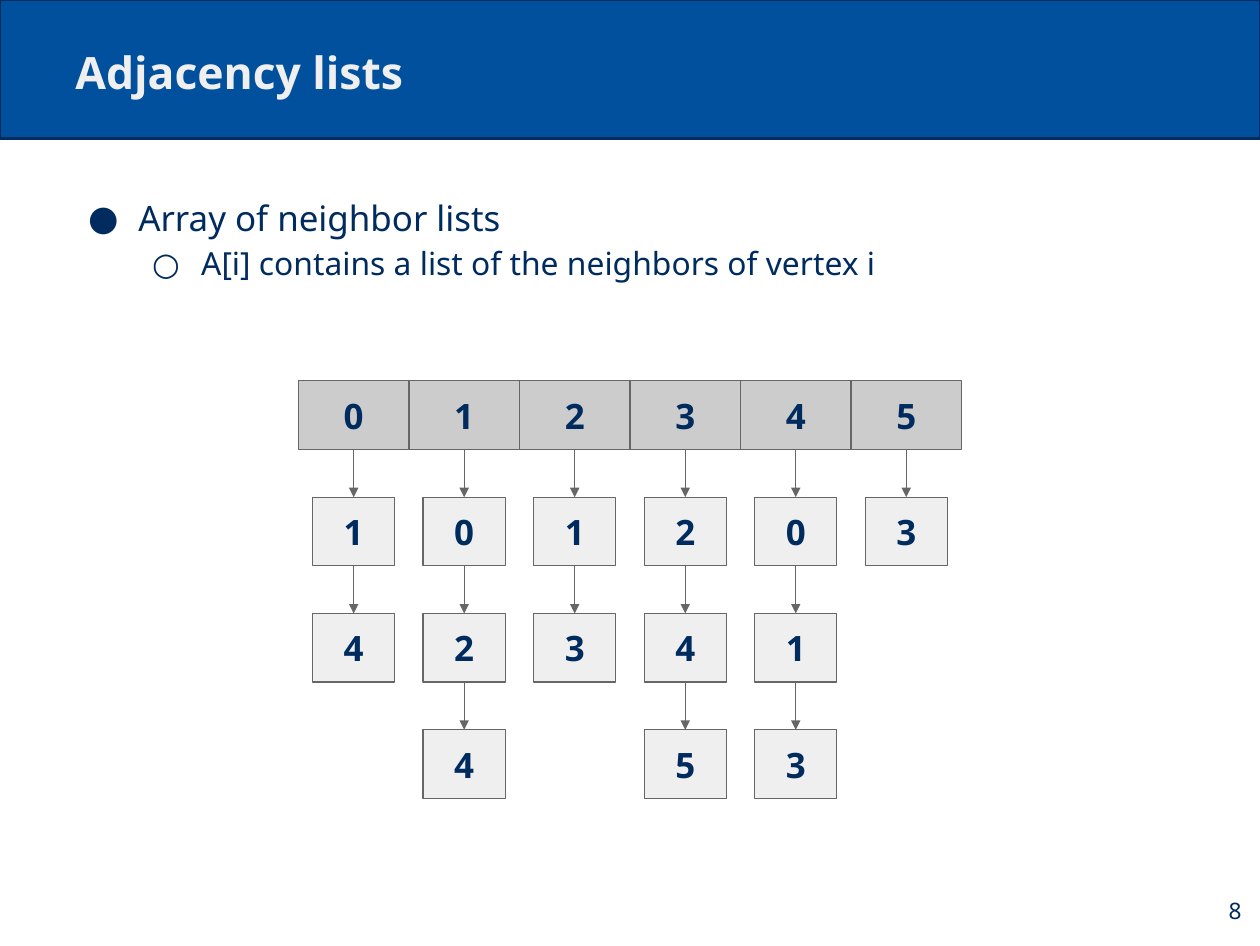
from dataclasses import dataclass

from lxml import etree
from pptx import Presentation
from pptx.dml.color import RGBColor
from pptx.enum.shapes import MSO_CONNECTOR, MSO_SHAPE
from pptx.enum.text import MSO_ANCHOR, MSO_AUTO_SIZE, PP_ALIGN
from pptx.oxml.ns import qn
from pptx.util import Inches, Pt

RECTANGLE = MSO_SHAPE.RECTANGLE
STRAIGHT = MSO_CONNECTOR.STRAIGHT
LEFT, CENTER, RIGHT = PP_ALIGN.LEFT, PP_ALIGN.CENTER, PP_ALIGN.RIGHT
TOP, MIDDLE, BOTTOM = MSO_ANCHOR.TOP, MSO_ANCHOR.MIDDLE, MSO_ANCHOR.BOTTOM
NO_AUTOFIT = MSO_AUTO_SIZE.NONE
TOP_SIDE, BOTTOM_SIDE = 0, 2


@dataclass(frozen=True)
class Theme:
    font: str = "Noto Sans"
    navy: str = "002B5E"
    band: str = "01509E"
    pale: str = "EFEFEF"
    index: str = "CCCCCC"
    outline: str = "666666"
    title_size: float = 28
    body_size: float = 22
    detail_size: float = 20
    number_size: float = 14.3
    inset: float = 0.11


THEME = Theme()
WIDTH, HEIGHT = 11.02, 8.27
BULLETS = [
    # text, level, size, bullet, left margin, hanging indent
    ("Array of neighbor lists", 0, THEME.body_size, "●", 0.55, 0.44),
    ("A[i] contains a list of the neighbors of vertex i", 1, THEME.detail_size, "○", 1.1, 0.43),
]
NEIGHBORS = [[1, 4], [0, 2, 4], [1, 3], [2, 4, 5], [0, 1, 3], [3]]


def color(value):
    return RGBColor.from_string(value)


def place(shape, box):
    shape.left, shape.top, shape.width, shape.height = map(Inches, box)


def set_frame(shape, anchor):
    frame = shape.text_frame
    frame.word_wrap = True
    frame.auto_size = NO_AUTOFIT
    frame.vertical_anchor = anchor
    frame.margin_left = frame.margin_right = Inches(THEME.inset)
    frame.margin_top = frame.margin_bottom = Inches(THEME.inset)
    return frame


def style_paragraph(paragraph, size, tint=THEME.navy, bold=False, align=LEFT):
    paragraph.alignment = align
    font = paragraph.font
    font.name, font.size, font.bold = THEME.font, Pt(size), bold
    font.color.rgb = color(tint)


def add_rectangle(slide, box, fill, line, line_width):
    shape = slide.shapes.add_shape(RECTANGLE, *map(Inches, box))
    shape.shadow.inherit = False
    shape.fill.solid()
    shape.fill.fore_color.rgb = color(fill)
    shape.line.color.rgb = color(line)
    shape.line.width = Pt(line_width)
    return shape


def add_cell(slide, box, value, fill):
    cell = add_rectangle(slide, box, fill, THEME.outline, 0.75)
    paragraph = set_frame(cell, MIDDLE).paragraphs[0]
    paragraph.text = str(value)
    style_paragraph(paragraph, THEME.body_size, bold=True, align=CENTER)
    return cell


def add_arrow(slide, upper, lower):
    arrow = slide.shapes.add_connector(STRAIGHT, 0, 0, 0, 0)
    arrow.begin_connect(upper, BOTTOM_SIDE)
    arrow.end_connect(lower, TOP_SIDE)
    arrow.line.color.rgb = color(THEME.outline)
    arrow.line.width = Pt(0.75)
    etree.SubElement(arrow.line._get_or_add_ln(), qn("a:tailEnd"), type="triangle")
    etree.SubElement(arrow._element.spPr, qn("a:effectLst"))


def add_bullet(paragraph, symbol, margin, hanging):
    properties = paragraph._p.get_or_add_pPr()
    properties.set("marL", str(Inches(margin)))
    properties.set("indent", str(-Inches(hanging)))
    bullet_color = etree.SubElement(properties, qn("a:buClr"))
    etree.SubElement(bullet_color, qn("a:srgbClr"), val=THEME.navy)
    etree.SubElement(properties, qn("a:buFont"), typeface=THEME.font)
    etree.SubElement(properties, qn("a:buChar"), char=symbol)


def build_header(slide, box):
    left, top, width, height = box
    band = add_rectangle(slide, box, THEME.band, THEME.navy, 1.5)
    slide.shapes._spTree.insert(2, band._element)  # behind the title
    title = slide.shapes.title
    place(title, (left + 0.55, top + 0.24, width - 1.1, height - 0.48))
    paragraph = set_frame(title, BOTTOM).paragraphs[0]
    paragraph.text = "Adjacency lists"
    style_paragraph(paragraph, THEME.title_size, THEME.pale, bold=True)


def build_body(slide, box):
    body = slide.placeholders[1]
    place(body, box)
    frame = set_frame(body, TOP)
    for position, (text, level, size, symbol, margin, hanging) in enumerate(BULLETS):
        paragraph = frame.add_paragraph() if position else frame.paragraphs[0]
        paragraph.text = text
        paragraph.level = level
        add_bullet(paragraph, symbol, margin, hanging)
        paragraph.line_spacing = 1.15
        paragraph.space_before = Pt(0)
        style_paragraph(paragraph, size)


def build_adjacency_diagram(slide, box):
    left, top, width, height = box
    cell_height, node_width = 0.6, 0.72
    column_width = width / len(NEIGHBORS)
    row_pitch = (height - cell_height) / max(map(len, NEIGHBORS))
    for vertex, neighbors in enumerate(NEIGHBORS):
        # Array entry, then its linked list downwards
        column_left = left + vertex * column_width
        upper = add_cell(slide, (column_left, top, column_width, cell_height), vertex, THEME.index)
        node_left = column_left + (column_width - node_width) / 2
        for row, neighbor in enumerate(neighbors, start=1):
            node_box = (node_left, top + row * row_pitch, node_width, cell_height)
            node = add_cell(slide, node_box, neighbor, THEME.pale)
            add_arrow(slide, upper, node)
            upper = node


def build_page_number(slide, box):
    number = slide.shapes.add_textbox(*map(Inches, box))
    paragraph = set_frame(number, MIDDLE).paragraphs[0]
    paragraph.text = "8"
    style_paragraph(paragraph, THEME.number_size, align=RIGHT)


def main():
    presentation = Presentation()
    presentation.slide_width, presentation.slide_height = Inches(WIDTH), Inches(HEIGHT)
    slide = presentation.slides.add_slide(presentation.slide_layouts[1])
    build_header(slide, (0, 0, WIDTH, 1.21))
    build_body(slide, (0.55, 1.55, 9.92, 1.55))
    build_adjacency_diagram(slide, (2.61, 3.33, 5.8, 3.65))
    build_page_number(slide, (10.31, 7.64, 0.66, 0.63))
    presentation.save("out.pptx")


if __name__ == "__main__":
    main()
